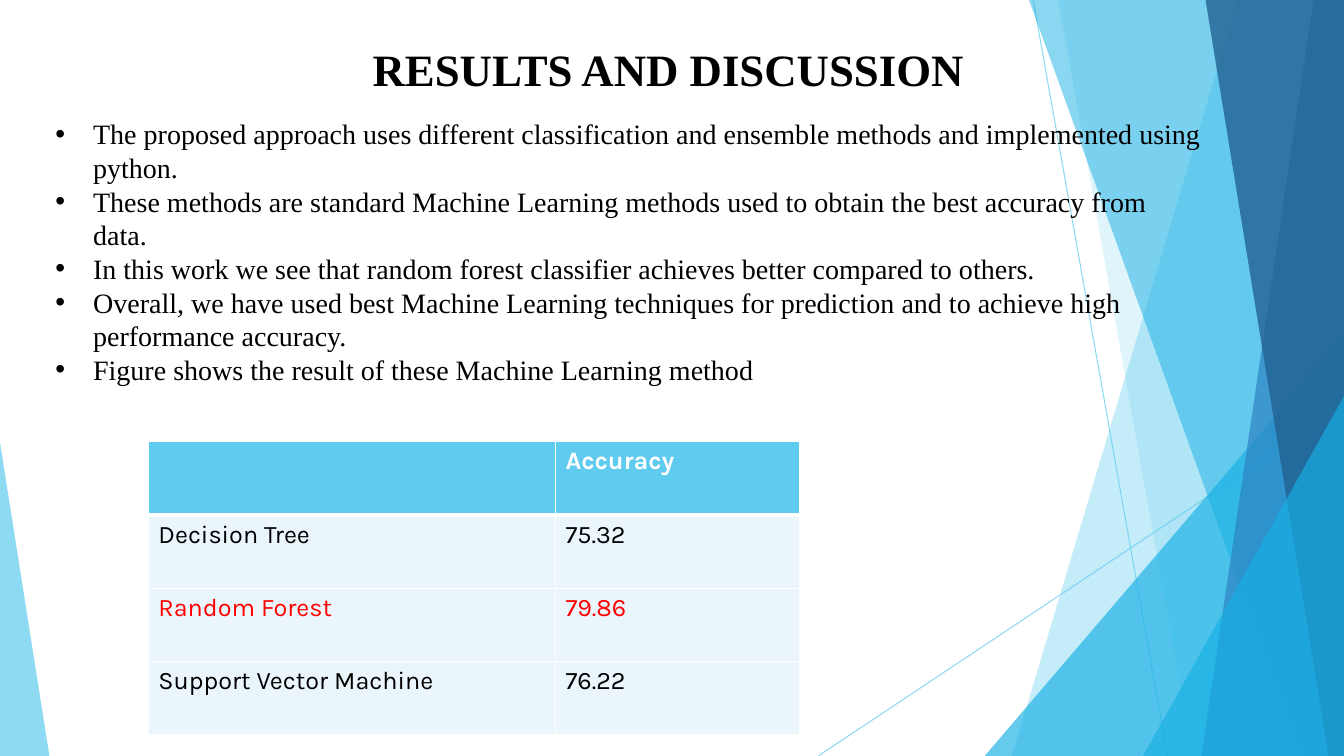
from lxml.etree import SubElement
from pptx import Presentation
from pptx.dml.color import RGBColor
from pptx.enum.shapes import MSO_CONNECTOR, MSO_SHAPE
from pptx.oxml import parse_xml
from pptx.oxml.ns import nsdecls, qn
from pptx.util import Pt

WIDTH, HEIGHT = 960, 540

THEME = {
    "sky": "5FCBEF", "cyan": "17B0E4", "blue": "2E83C3", "navy": "226292",
    "pale": "EAF6FC", "white": "FFFFFF", "black": "000000", "red": "FF0000",
    "serif": "Times New Roman", "sans": "Karla",
    "title": 32, "body": 20, "table": 18,
}

TITLE = "RESULTS AND DISCUSSION"
BULLETS = [
    "The proposed approach uses different classification and ensemble methods and implemented using python.",
    "These methods are standard Machine Learning methods used to obtain the best accuracy from data.",
    "In this work we see that random forest classifier achieves better compared to others.",
    "Overall, we have used best Machine Learning techniques for prediction and to achieve high performance accuracy.",
    "Figure shows the result of these Machine Learning method",
]
ACCURACY = [
    ("", "Accuracy"),
    ("Decision Tree", "75.32"),
    ("Random Forest", "79.86"),
    ("Support Vector Machine", "76.22"),
]
BEST_MODEL = "Random Forest"
COLUMN_WIDTHS = (290.8, 174.4)
ROW_HEIGHT = 52.4

# Start x, start y, end x, end y
RAYS = [(738, 0, 834, HEIGHT), (WIDTH, 290, 584.5, HEIGHT)]
# Back to front. Band: x at top, x at bottom. Triangle: left, top, width, apex position.
FACETS = [
    ("band", (884.2, 722.9), "sky", 36),
    ("band", (756, 851.8), "sky", 20),
    ("triangle", (703.4, 239.8, 256.6, 1), "cyan", 66),
    ("band", (735.1, 929.5), "cyan", 50),
    ("band", (938.2, 858.2), "blue", 70),
    ("band", (861.1, 949), "navy", 80),
    ("triangle", (816.5, 283, 143.5, 1), "cyan", 66),
    ("triangle", (0, 316.1, 35.3, 0), "sky", 70),
]


def color(name):
    return RGBColor.from_string(THEME[name])


def set_opacity(properties, percent):
    value = next(properties.iter(qn("a:srgbClr")))
    SubElement(value, qn("a:alpha")).set("val", str(percent * 1000))


def draw_ray(slide, ends):
    line = slide.shapes.add_connector(MSO_CONNECTOR.STRAIGHT, *map(Pt, ends))
    line.line.color.rgb = color("sky")
    line.line.width = Pt(0.75)
    properties = line._element.spPr
    set_opacity(properties, 70)
    SubElement(properties, qn("a:effectLst"))


def draw_facet(slide, kind, geometry, fill, opacity):
    if kind == "band":
        top_x, bottom_x = geometry
        builder = slide.shapes.build_freeform(Pt(top_x), 0)
        corners = [(WIDTH, 0), (WIDTH, HEIGHT), (bottom_x, HEIGHT)]
        builder.add_line_segments([(Pt(x), Pt(y)) for x, y in corners], close=True)
        shape = builder.convert_to_shape()
    else:
        left, top, width, apex = geometry
        shape = slide.shapes.add_shape(
            MSO_SHAPE.ISOSCELES_TRIANGLE, Pt(left), Pt(top), Pt(width), Pt(HEIGHT - top))
        shape.adjustments[0] = apex
    shape.shadow.inherit = False
    shape.fill.solid()
    shape.fill.fore_color.rgb = color(fill)
    shape.line.fill.background()
    set_opacity(shape._element.spPr, opacity)


def write(frame, lines, *, size, font, ink="black", bold=False, bullet=False):
    frame.word_wrap = True
    for index, line in enumerate(lines):
        paragraph = frame.add_paragraph() if index else frame.paragraphs[0]
        if bullet:
            properties = paragraph._p.get_or_add_pPr()
            properties.set("marL", str(Pt(27)))
            properties.set("indent", str(-Pt(27)))
            SubElement(properties, qn("a:buFont")).set("typeface", "Arial")
            SubElement(properties, qn("a:buChar")).set("char", "•")
        paragraph.text = line
        paragraph.font.size = Pt(THEME[size])
        paragraph.font.name = THEME[font]
        paragraph.font.bold = bold
        paragraph.font.color.rgb = color(ink)


def add_text(slide, box, lines, **text_format):
    shape = slide.shapes.add_textbox(*map(Pt, box))
    write(shape.text_frame, lines, **text_format)


def set_borders(cell, widths):
    """Put white borders, given as side and width, ahead of the cell's fill."""
    properties = cell._tc.get_or_add_tcPr()
    for index, (side, width) in enumerate(widths.items()):
        properties.insert(index, parse_xml(
            f'<a:ln{side} {nsdecls("a")} w="{Pt(width)}"><a:solidFill>'
            f'<a:srgbClr val="{THEME["white"]}"/></a:solidFill></a:ln{side}>'))


def add_accuracy_table(slide):
    frame = slide.shapes.add_table(
        len(ACCURACY), len(COLUMN_WIDTHS), Pt(106), Pt(315.5),
        Pt(sum(COLUMN_WIDTHS)), Pt(ROW_HEIGHT * len(ACCURACY)))
    table = frame.table
    for column, width in zip(table.columns, COLUMN_WIDTHS):
        column.width = Pt(width)
    for row_index, values in enumerate(ACCURACY):
        header = row_index == 0
        ink = "white" if header else "red" if values[0] == BEST_MODEL else "black"
        table.rows[row_index].height = Pt(ROW_HEIGHT)
        for column_index, value in enumerate(values):
            cell = table.cell(row_index, column_index)
            cell.fill.solid()
            cell.fill.fore_color.rgb = color("sky" if header else "pale")
            set_borders(cell, {"L": 1, "R": 1, "T": 3 if row_index == 1 else 1,
                               "B": 3 if header else 1})
            write(cell.text_frame, [value], size="table", font="sans", ink=ink, bold=header)


def main():
    presentation = Presentation()
    presentation.slide_width, presentation.slide_height = Pt(WIDTH), Pt(HEIGHT)
    slide = presentation.slides.add_slide(presentation.slide_layouts[6])
    for ray in RAYS:
        draw_ray(slide, ray)
    for facet in FACETS:
        draw_facet(slide, *facet)
    add_text(slide, (259, 26, 442, 46), [TITLE], size="title", font="serif", bold=True)
    add_text(slide, (32.4, 80, 833.8, 201), BULLETS, size="body", font="serif", bullet=True)
    add_accuracy_table(slide)
    presentation.save("out.pptx")


if __name__ == "__main__":
    main()
